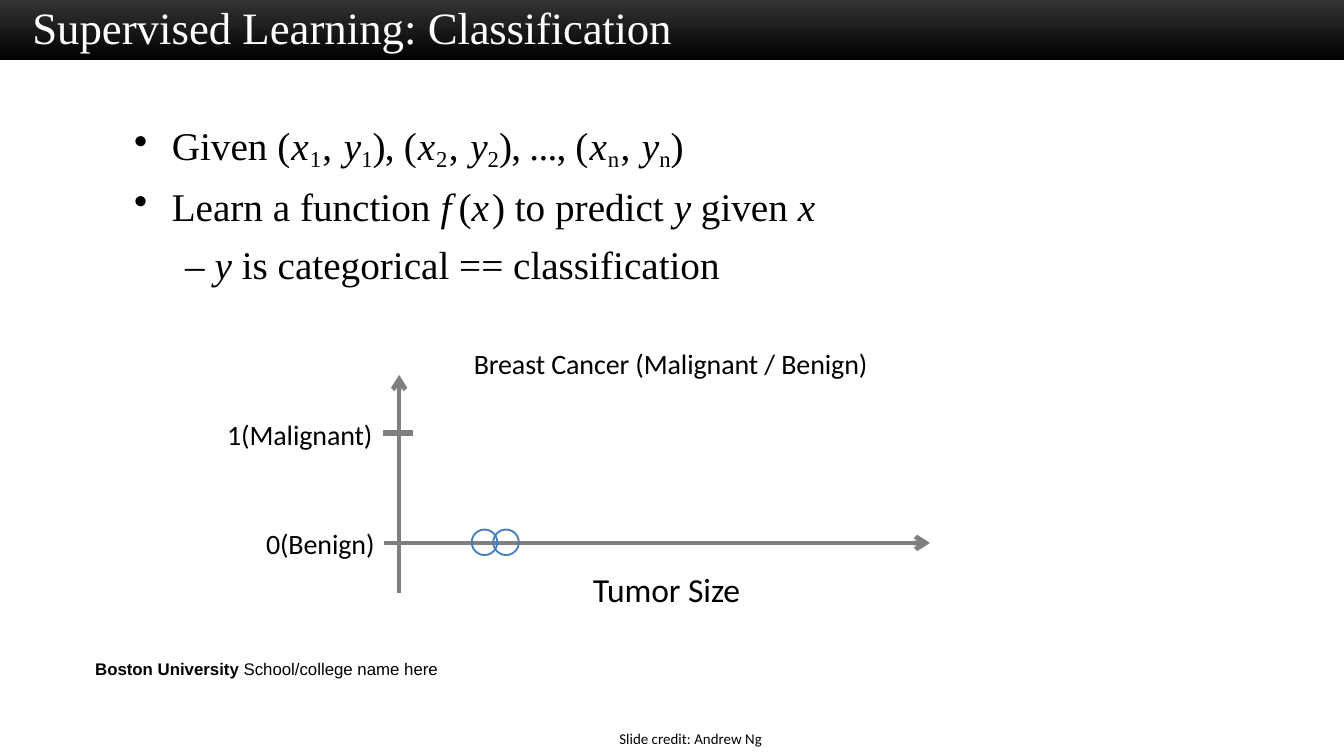
from lxml import etree
from pptx import Presentation
from pptx.dml.color import RGBColor
from pptx.enum.shapes import MSO_CONNECTOR, MSO_SHAPE
from pptx.enum.text import MSO_ANCHOR, PP_ALIGN
from pptx.oxml.ns import qn
from pptx.util import Pt

PX = 9144  # EMU per px, 100 px to the inch
COLORS = {"bar_top": "333333", "black": "000000", "white": "FFFFFF",
          "axis": "7F7F7F", "sample": "4A7EBB"}
SERIF, SANS, FOOTER = "Times New Roman", "Calibri", "Arial"


def px(*lengths):
    return [length * PX for length in lengths]


def rgb(name):
    return RGBColor.from_string(COLORS[name])


def add_text_frame(slide, box, margins=(10, 5, 10, 5), anchor=MSO_ANCHOR.TOP):
    text_frame = slide.shapes.add_textbox(*px(*box)).text_frame
    text_frame.word_wrap = True
    text_frame.vertical_anchor = anchor
    (text_frame.margin_left, text_frame.margin_top,
     text_frame.margin_right, text_frame.margin_bottom) = px(*margins)
    return text_frame


def add_runs(paragraph, runs, name, size, color="black"):
    """Each run is its text and a style: "i" italic, "b" bold, "sub" subscript;
    an optional third item is the letter spacing in hundredths of a point."""
    for text, style, *spacing in runs:
        run = paragraph.add_run()
        run.text = text
        run.font.name = name
        run.font.size = Pt(size)
        run.font.color.rgb = rgb(color)
        run.font.italic = style == "i"
        run.font.bold = style == "b"
        properties = run.font._element
        if style == "sub":
            properties.set("baseline", "-19000")
        if spacing:
            properties.set("spc", str(spacing[0]))


def set_indent(paragraph, margin, indent=0, bullet=None):
    properties = paragraph._p.get_or_add_pPr()
    properties.set("marL", str(margin * PX))
    properties.set("indent", str(indent * PX))
    if bullet:
        etree.SubElement(properties, qn("a:buChar")).set("char", bullet)


def add_title_bar(slide, box):
    left, top, width, height = box
    bar = slide.shapes.add_shape(MSO_SHAPE.RECTANGLE, *px(*box))
    bar.shadow.inherit = False
    bar.line.fill.background()
    bar.fill.gradient()
    bar.fill.gradient_angle = 270
    for stop, color, position in zip(bar.fill.gradient_stops, ("bar_top", "black"), (0, 1)):
        stop.color.rgb = rgb(color)
        stop.position = position

    text_frame = add_text_frame(slide, (left + 24, top - 1, 771, 41),
                                (0, 1, 0, 0), MSO_ANCHOR.MIDDLE)
    add_runs(text_frame.paragraphs[0],
             [("Supervised Learning: ", ""), ("Classification", "", -10)], SERIF, 24, "white")


def add_body(slide, box):
    pairs = [("Given ", "")]
    for index, ending in (("1", "), "), ("2", "), ..., "), ("n", ")")):
        pairs += [("(", "", 50), ("x", "i", 50), (index, "sub", 70), (", ", "", 50),
                  ("y", "i", -40), (index, "sub", -60), (ending, "", -40)]
    function = [("Learn a function ", ""), ("f", "i", 380), ("(", ""), ("x", "i", 160),
                (") to predict ", ""), ("y ", "i"), ("given ", ""), ("x", "i")]
    category = [("– ", ""), ("y ", "i"), ("is categorical == classification", "")]

    text_frame = add_text_frame(slide, box)
    rows = ((pairs, 33, -28, "•"), (function, 33, -28, "•"), (category, 43, 0, None))
    for number, (runs, margin, indent, bullet) in enumerate(rows):
        paragraph = text_frame.add_paragraph() if number else text_frame.paragraphs[0]
        if number:
            paragraph.space_before = Pt(5.7)
        set_indent(paragraph, margin, indent, bullet)
        add_runs(paragraph, runs, SERIF, 21)


def add_line(slide, start, end, width, arrow=False):
    line = slide.shapes.add_connector(MSO_CONNECTOR.STRAIGHT, *px(*start, *end))
    line.line.color.rgb = rgb("axis")
    line.line.width = Pt(width)
    if arrow:
        etree.SubElement(line.line._get_or_add_ln(), qn("a:tailEnd")).set("type", "arrow")
    etree.SubElement(line._element.spPr, qn("a:effectLst"))


def add_tumor_plot(slide, box):
    left, top, width, height = box
    axis_x, axis_y = left + 134, top + 156

    # Axes and the tick for the malignant class
    add_line(slide, (axis_x, top + 193), (axis_x, top + 31), 2.5, arrow=True)
    add_line(slide, (left + 123, axis_y), (left + 529, axis_y), 2.5, arrow=True)
    add_line(slide, (axis_x - 12, top + 74), (axis_x + 10, top + 74), 3)

    # Labels: text, left, vertical centre, width, size, alignment
    labels = (
        ("Breast Cancer (Malignant / Benign)", 186, 22, 300, 15, PP_ALIGN.CENTER),
        ("1(Malignant)", 6, 75, 115, 15, PP_ALIGN.LEFT),
        ("0(Benign)", 35, 156, 86, 15, PP_ALIGN.LEFT),
        ("Tumor Size", 258, 190, 150, 18, PP_ALIGN.CENTER),
    )
    for text, offset, middle, label_width, size, alignment in labels:
        text_frame = add_text_frame(slide, (left + offset, top + middle - 15, label_width, 30),
                                    (0, 0, 0, 0), MSO_ANCHOR.MIDDLE)
        paragraph = text_frame.paragraphs[0]
        paragraph.alignment = alignment
        add_runs(paragraph, [(text, "", -5)], SANS, size)

    # Benign samples
    diameter = 19
    for offset in (204, 188):
        circle = slide.shapes.add_shape(
            MSO_SHAPE.OVAL, *px(left + offset, top + 146, diameter, diameter))
        circle.shadow.inherit = False
        circle.fill.background()
        circle.line.color.rgb = rgb("sample")
        circle.line.width = Pt(1)


def add_caption(slide, box, runs, name, size):
    add_runs(add_text_frame(slide, box).paragraphs[0], runs, name, size)


def main():
    presentation = Presentation()
    presentation.slide_width = 1000 * PX
    presentation.slide_height = presentation.slide_width * 9 // 16
    slide = presentation.slides.add_slide(presentation.slide_layouts[6])

    add_title_bar(slide, (0, 0, 1000, 45))
    add_body(slide, (85, 85, 670, 133))
    add_tumor_plot(slide, (163, 248, 592, 205))
    add_caption(slide, (61, 485, 510, 25),
                [("Boston University", "b"), (" School/college name here", "")], FOOTER, 9)
    add_caption(slide, (451, 538, 499, 24), [("Slide credit: Andrew Ng", "")], SANS, 8)

    presentation.save("out.pptx")


if __name__ == "__main__":
    main()
